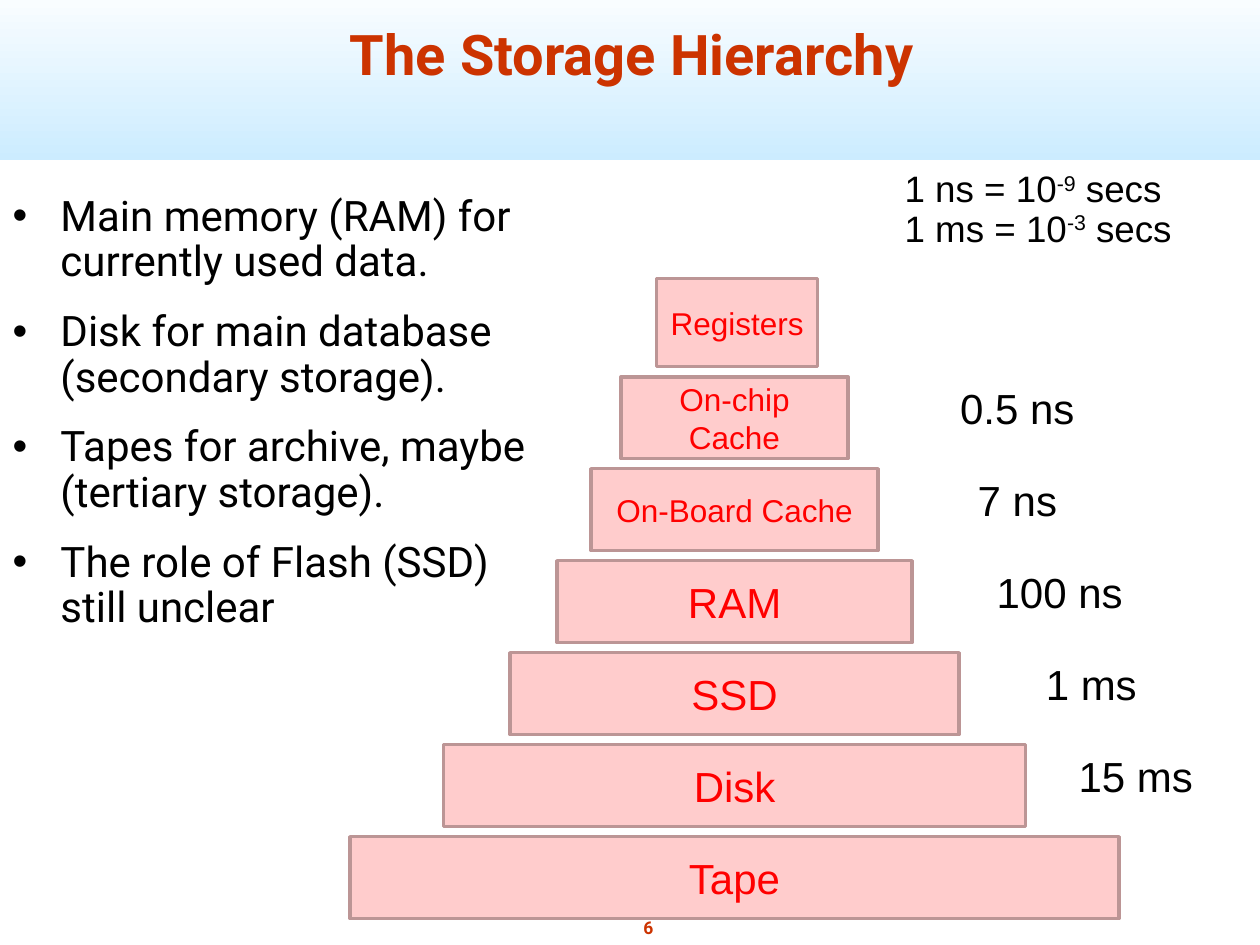
from dataclasses import dataclass

from pptx import Presentation
from pptx.dml.color import RGBColor
from pptx.enum.shapes import MSO_SHAPE
from pptx.enum.text import MSO_ANCHOR, MSO_AUTO_SIZE, PP_ALIGN
from pptx.util import Inches, Pt


@dataclass(frozen=True)
class Theme:
    """Colours, fonts and type sizes of the slide."""
    accent: RGBColor = RGBColor.from_string("CC3300")
    text: RGBColor = RGBColor.from_string("000000")
    label: RGBColor = RGBColor.from_string("FF0000")
    step_fill: RGBColor = RGBColor.from_string("FFCCCC")
    step_line: RGBColor = RGBColor.from_string("BC9595")
    band_bottom: RGBColor = RGBColor.from_string("CCECFF")
    band_top: RGBColor = RGBColor.from_string("FFFFFF")
    heading_font: str = "Roboto"
    diagram_font: str = "Arial"
    title_size: int = 32
    body_size: int = 24
    unit_size: int = 21
    small_size: int = 18
    number_size: int = 10


THEME = Theme()
STEP_CENTER, STEP_TOP, STEP_HEIGHT, STEP_PITCH = 5.83, 2.99, 0.65, 0.73

BULLETS = [
    "Main memory (RAM) for currently used data.",
    "Disk for main database (secondary storage).",
    "Tapes for archive, maybe \v(tertiary storage).",
    "The role of Flash (SSD)\vstill unclear",
]
STEPS = [
    ("On-chip Cache", 1.8, THEME.small_size),
    ("On-Board Cache", 2.28, THEME.small_size),
    ("RAM", 2.82, THEME.body_size),
    ("SSD", 3.56, THEME.body_size),
    ("Disk", 4.62, THEME.body_size),
    ("Tape", 6.1, THEME.body_size),
]
LATENCIES = [
    ("0.5 ns", 7.57, 1.02),
    ("7 ns", 7.71, 0.74),
    ("100 ns", 7.86, 1.11),
    ("1 ms", 8.25, 0.84),
    ("15 ms", 8.51, 1.02),
]
UNITS = [("1 ns = 10", "-9", 1.27), ("1 ms = 10", "-3", 1.58)]


def place(shape, left, top, width, height):
    """Move and size a shape, in inches."""
    shape.left, shape.top = Inches(left), Inches(top)
    shape.width, shape.height = Inches(width), Inches(height)


def set_frame(frame, anchor=MSO_ANCHOR.TOP, wrap=True, inset=0.05):
    """Set the insets, anchor and wrapping of a text frame."""
    frame.auto_size = MSO_AUTO_SIZE.NONE
    frame.word_wrap = wrap
    frame.vertical_anchor = anchor
    frame.margin_left = frame.margin_right = Inches(inset)
    frame.margin_top = frame.margin_bottom = Inches(0.05)


def style(para, size, color, name, bold=False, align=PP_ALIGN.LEFT):
    """Set the font and alignment of a paragraph."""
    para.alignment = align
    font = para.font
    font.size, font.name, font.bold = Pt(size), name, bold
    font.color.rgb = color


def add_band(page):
    """Draw the gradient header band behind everything else."""
    band = page.shapes.add_shape(
        MSO_SHAPE.RECTANGLE, 0, Inches(-0.17), Inches(10), Inches(1.44))
    band.shadow.inherit = False
    band.line.fill.background()
    band.fill.gradient()
    band.fill.gradient_angle = 90
    for stop, color in zip(band.fill.gradient_stops,
                           (THEME.band_bottom, THEME.band_top)):
        stop.color.rgb = color
    page.shapes._spTree.insert(2, band._element)


def fill_title(title, text):
    """Fill the title placeholder."""
    place(title, 0.6, 0.07, 8.83, 0.67)
    title.text = text
    set_frame(title.text_frame, MSO_ANCHOR.BOTTOM)
    style(title.text_frame.paragraphs[0], THEME.title_size, THEME.accent,
          THEME.heading_font, True, PP_ALIGN.CENTER)


def fill_body(body, lines):
    """Fill the body placeholder with hanging bullets."""
    place(body, 0.05, 1.5, 4.9, 4.67)
    frame = body.text_frame
    frame.text = "\n".join(lines)
    set_frame(frame)
    for para in frame.paragraphs:
        style(para, THEME.body_size, THEME.text, THEME.heading_font)
        para.line_spacing = 0.9
        para.space_before = Pt(14)
        properties = para._p.get_or_add_pPr()
        properties.set("marL", str(Inches(0.38)))
        properties.set("indent", str(Inches(-0.38)))


def add_step(page, text, center, top, width, height, size):
    """Draw one labelled step of the pyramid."""
    step = page.shapes.add_shape(
        MSO_SHAPE.RECTANGLE, Inches(center - width / 2), Inches(top),
        Inches(width), Inches(height))
    step.shadow.inherit = False
    step.fill.solid()
    step.fill.fore_color.rgb = THEME.step_fill
    step.line.color.rgb = THEME.step_line
    step.line.width = Pt(2)
    step.text_frame.text = text
    set_frame(step.text_frame, MSO_ANCHOR.MIDDLE, inset=0.1)
    style(step.text_frame.paragraphs[0], size, THEME.label,
          THEME.diagram_font, align=PP_ALIGN.CENTER)


def add_text(page, text, left, top, width, height):
    """Add an unwrapped text box and return its paragraph."""
    box = page.shapes.add_textbox(
        Inches(left), Inches(top), Inches(width), Inches(height))
    box.text_frame.text = text
    set_frame(box.text_frame, wrap=False)
    return box.text_frame.paragraphs[0]


def add_unit(page, start, exponent, top):
    """Add a unit definition with a raised exponent."""
    para = add_text(page, start, 7.13, top, 2.2, 0.42)
    span = para.add_run()
    span.text = exponent
    span._r.get_or_add_rPr().set("baseline", "32000")
    para.add_run().text = " secs"
    style(para, THEME.unit_size, THEME.text, THEME.diagram_font)


def main():
    """Build and save the slide."""
    deck = Presentation()
    deck.slide_width, deck.slide_height = Inches(10), Inches(7.5)
    page = deck.slides.add_slide(deck.slide_layouts[1])
    add_band(page)
    fill_title(page.shapes.title, "The Storage Hierarchy")
    fill_body(page.placeholders[1], BULLETS)

    add_step(page, "Registers", 5.85, 2.21, 1.28, 0.7, THEME.small_size)
    for row, (text, width, size) in enumerate(STEPS):
        add_step(page, text, STEP_CENTER, STEP_TOP + row * STEP_PITCH,
                 width, STEP_HEIGHT, size)
    for row, (text, left, width) in enumerate(LATENCIES):
        para = add_text(page, text, left, STEP_TOP + row * STEP_PITCH,
                        width, 0.48)
        style(para, THEME.body_size, THEME.text, THEME.diagram_font)
    for start, exponent, top in UNITS:
        add_unit(page, start, exponent, top)

    number = add_text(page, "6", 5.05, 7.23, 0.19, 0.27)
    style(number, THEME.number_size, THEME.accent, THEME.heading_font,
          True, PP_ALIGN.CENTER)
    deck.save("out.pptx")


if __name__ == "__main__":
    main()
